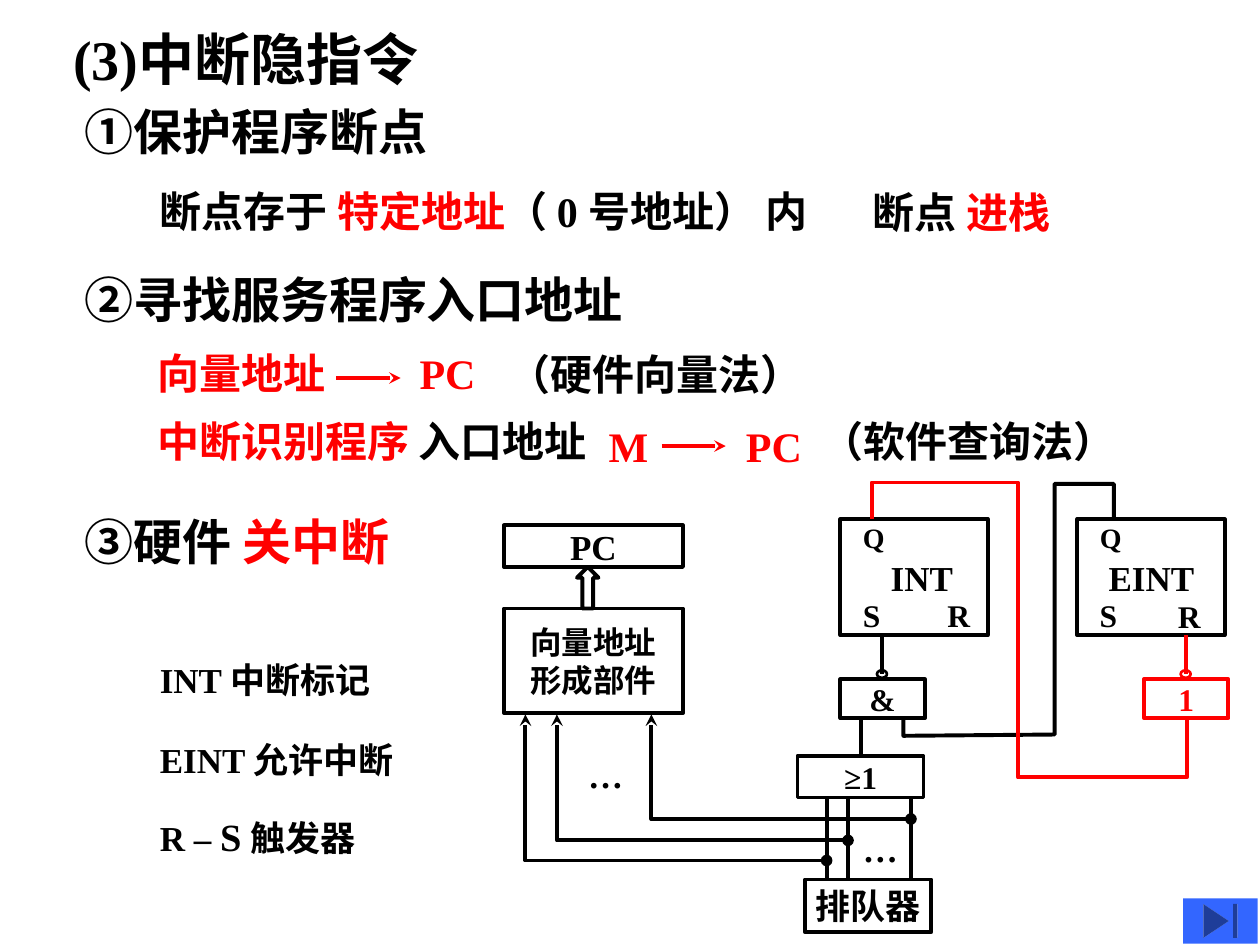
from pptx import Presentation
from pptx.dml.color import RGBColor
from pptx.enum.shapes import MSO_CONNECTOR, MSO_SHAPE
from pptx.enum.text import MSO_ANCHOR, PP_ALIGN
from pptx.oxml.ns import qn
from pptx.util import Pt
from lxml import etree

PX = 9144  # 100 px to the inch
BLACK = RGBColor(0x00, 0x00, 0x00)
RED = RGBColor(0xFF, 0x00, 0x00)
BLUE = RGBColor(0x33, 0x66, 0xFF)
FONT = "Times New Roman"
RECT, OVAL = MSO_SHAPE.RECTANGLE, MSO_SHAPE.OVAL
UP, END = MSO_SHAPE.UP_ARROW, MSO_SHAPE.ACTION_BUTTON_END
STRAIGHT = MSO_CONNECTOR.STRAIGHT
TOP, MID = MSO_ANCHOR.TOP, MSO_ANCHOR.MIDDLE
LEFT, CENTER = PP_ALIGN.LEFT, PP_ALIGN.CENTER


def px(*nums):
    return [n * PX for n in nums]


def write(frame, lines, size, color, align):
    """Fill a frame; a line is a string or a list of (text, color) runs."""
    for i, line in enumerate(lines):
        para = frame.add_paragraph() if i else frame.paragraphs[0]
        para.alignment = align
        font = para.font
        font.name, font.size, font.bold = FONT, Pt(size), True
        font.color.rgb = color
        runs = [(line, color)] if isinstance(line, str) else line
        for text, tint in runs:
            run = para.add_run()
            run.text = text
            if tint != color:
                run.font.color.rgb = tint


def label(sl, x, y, w, h, line, size, color=BLACK, wrap=False):
    """Text box with the default insets, set from the top."""
    frame = sl.shapes.add_textbox(*px(x, y, w, h)).text_frame
    frame.word_wrap = wrap
    frame.vertical_anchor = TOP
    write(frame, [line], size, color, LEFT)
    return frame


def title(sl, x, y, w, h, line, size, color=BLACK):
    """Text box without side insets, set in the middle."""
    frame = label(sl, x, y, w, h, line, size, color)
    frame.margin_left = frame.margin_right = 0
    frame.vertical_anchor = MID


def block(sl, x, y, w, h, lines=(), size=18, color=BLACK, kind=RECT, width=2.25):
    """Outlined shape with centred text."""
    shape = sl.shapes.add_shape(kind, *px(x, y, w, h))
    shape.shadow.inherit = False
    shape.fill.background()
    shape.line.color.rgb = color
    shape.line.width = Pt(width)
    frame = shape.text_frame
    frame.word_wrap = False
    frame.vertical_anchor = MID
    write(frame, lines, size, color, CENTER)
    return shape


def ends(shape, head=None, tail=None):
    ln = shape.line._get_or_add_ln()
    for tag, kind in (("a:headEnd", head), ("a:tailEnd", tail)):
        if kind:
            etree.SubElement(ln, qn(tag), type=kind)


def link(sl, x1, y1, x2, y2, color=BLACK, tail=None):
    line = sl.shapes.add_connector(STRAIGHT, *px(x1, y1, x2, y2))
    line.line.color.rgb = color
    line.line.width = Pt(2.25)
    ends(line, tail=tail)
    etree.SubElement(line._element.spPr, qn("a:effectLst"))
    return line


def wire(sl, points, color=BLACK, head=None, tail=None):
    """Open line through all points."""
    path = sl.shapes.build_freeform(*points[0], scale=PX)
    path.add_line_segments(points[1:], close=False)
    shape = path.convert_to_shape()
    shape.shadow.inherit = False
    shape.fill.background()
    shape.line.color.rgb = color
    shape.line.width = Pt(2.25)
    ends(shape, head, tail)


def save_part(sl, x, y):
    title(sl, x, y, 658, 58, "①保护程序断点", 28)
    label(sl, x + 50, y + 67, 583, 50, [
        ("断点存于 ", BLACK), ("特定地址", RED), ("（ 0 号地址） 内", BLACK)], 24, wrap=True)
    label(sl, x + 616, y + 68, 233, 50,
          [("断点 ", BLACK), ("进栈", RED)], 24, wrap=True)


def find_part(sl, x, y):
    title(sl, x, y, 658, 58, "②寻找服务程序入口地址", 28)
    title(sl, x + 58, y + 59, 142, 58, "向量地址", 24, RED)
    link(sl, x + 200, y + 92, x + 251, y + 92, RED, "stealth")
    title(sl, x + 266, y + 59, 50, 58, "PC", 24, RED)
    label(sl, x + 327, y + 64, 467, 50, "（硬件向量法）", 24, wrap=True)
    title(sl, x + 58, y + 113, 350, 58,
          [("中断识别程序 ", RED), ("入口地址", BLACK)], 24)
    title(sl, x + 416, y + 117, 50, 58, "M", 24, RED)
    link(sl, x + 458, y + 146, x + 509, y + 146, RED, "stealth")
    title(sl, x + 525, y + 117, 50, 58, "PC", 24, RED)
    label(sl, x + 575, y + 117, 350, 50, "（软件查询法）", 24, wrap=True)


def shut_part(sl, x, y):
    title(sl, x, y, 292, 75, [("硬件 ".join(["③", ""]), BLACK), ("关中断", RED)], 28)
    label(sl, x + 50, y + 126, 188, 43, "INT 中断标记", 20, wrap=True)
    label(sl, x + 50, y + 189, 207, 43, "EINT 允许中断", 20, wrap=True)
    frame = label(sl, x + 50, y + 248, 176, 47,
                  [("R – ", BLACK), ("S", BLACK), (" 触发器", BLACK)], 20, wrap=True)
    frame.paragraphs[0].runs[1].font.size = Pt(22)


def latch(sl, x, y, name, shift, drop=0):
    """Flip-flop; shift moves its name, drop lowers its R."""
    block(sl, x, y, 117, 92)
    label(sl, x + 8, y - 4, 38, 37, "Q", 16)
    label(sl, x + shift, y + 25, 88, 43, name, 20)
    label(sl, x + 8, y + 56, 34, 40, "S", 18)
    label(sl, x + 75 - 5 * drop, y + 56 + drop, 38, 40, "R", 18)


def gate(sl, x, y, text, bulb, color=BLACK):
    """Inverting gate with its bulb and the wire up to the latch."""
    block(sl, x, y, 67, 31, [text], 18, color)
    block(sl, x + bulb - 4, y - 7, 8, 6, color=color, kind=OVAL, width=1.5)
    link(sl, x + bulb, y - 35, x + bulb, y - 4, color)


def vector(sl, x, y):
    block(sl, x, y, 142, 33, ["PC"], 20)
    block(sl, x + 58, y + 33, 17, 33, kind=UP)
    block(sl, x, y + 66, 142, 83, ["向量地址", "形成部件"])
    label(sl, x + 57, y + 176, 48, 43, "…", 20)


def queue(sl, x, y):
    """OR gate, queue and the request lines tapped for the vector unit."""
    gate_or = block(sl, x, y, 100, 33, ["≥1"])
    line = link(sl, x + 50, y - 30, x + 50, y)
    line.end_connect(gate_or, 0)
    block(sl, x + 6, y + 98, 100, 42, ["排队器"], 20)
    for tap, into, low in ((90, -116, 50), (40, -191, 67), (23, -216, 83)):
        link(sl, x + tap, y + 33, x + tap, y + 98)
        wire(sl, [(x + into, y - 33), (x + into, y + low), (x + tap, y + low)],
             head="stealth", tail="oval")
    label(sl, x + 42, y + 52, 48, 43, "…", 20)


def logic(sl, x, y):
    latch(sl, x, y, "INT", 30)
    latch(sl, x + 188, y, "EINT", 15, 1)
    gate(sl, x, y + 127, "&", 33)
    gate(sl, x + 241, y + 127, "1", 33, RED)
    queue(sl, x - 34, y + 188)
    wire(sl, [(x + 50, y + 158), (x + 50, y + 172), (x + 170, y + 171),
              (x + 170, y - 28), (x + 217, y - 28), (x + 217, y)])
    wire(sl, [(x + 275, y + 158), (x + 275, y + 205), (x + 141, y + 205),
              (x + 141, y - 29), (x + 25, y - 29), (x + 25, y)], RED)


def main():
    deck = Presentation()
    deck.slide_width, deck.slide_height = px(1000, 750)
    sl = deck.slides.add_slide(deck.slide_layouts[6])
    title(sl, 58, 17, 425, 58, "(3)中断隐指令", 32)
    save_part(sl, 67, 75)
    find_part(sl, 67, 208)
    shut_part(sl, 67, 392)
    vector(sl, 400, 417)
    logic(sl, 667, 412)
    button = block(sl, 939, 713, 59, 36, kind=END)
    button.fill.solid()
    button.fill.fore_color.rgb = BLUE
    button.line.fill.background()
    deck.save("out.pptx")


if __name__ == "__main__":
    main()
